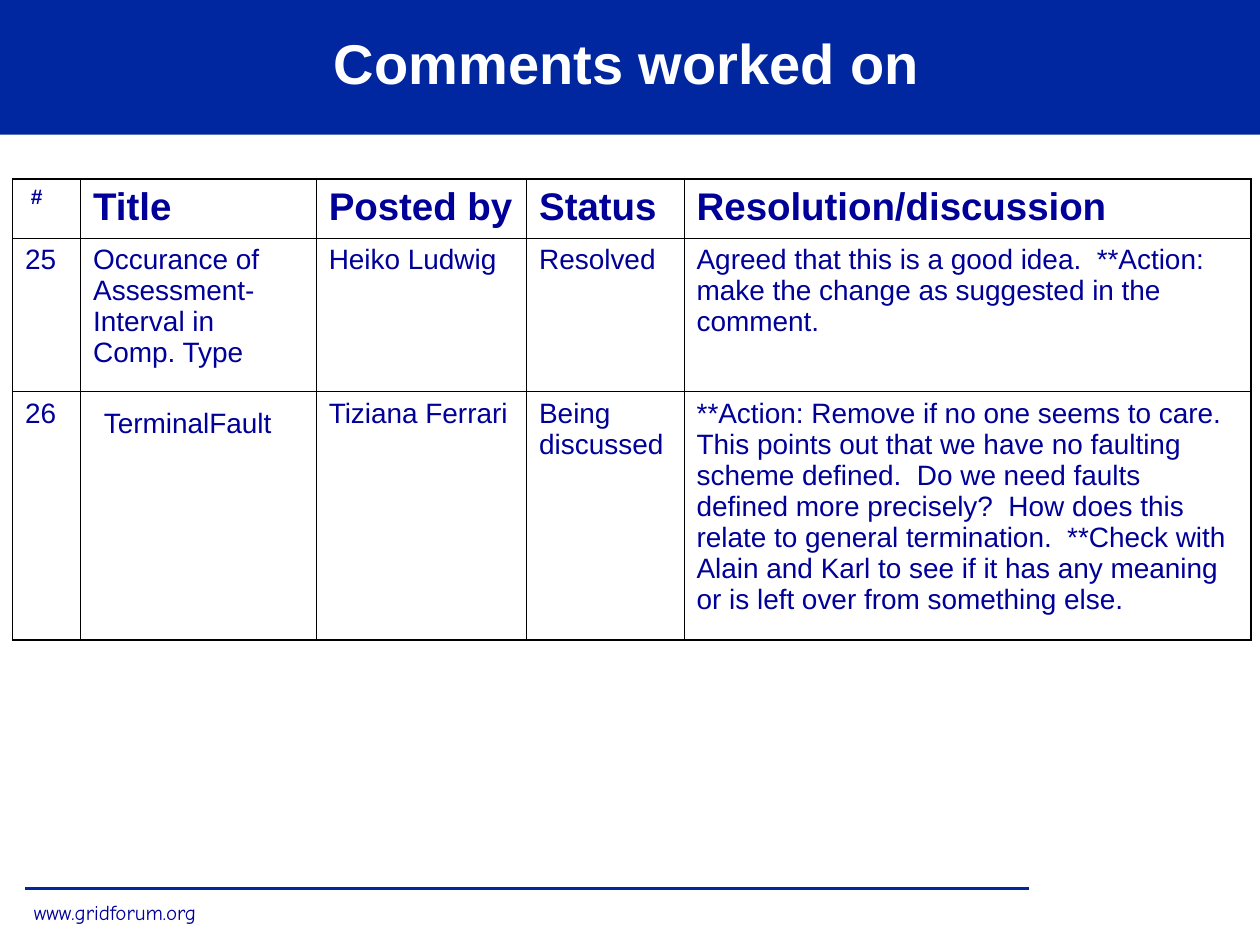
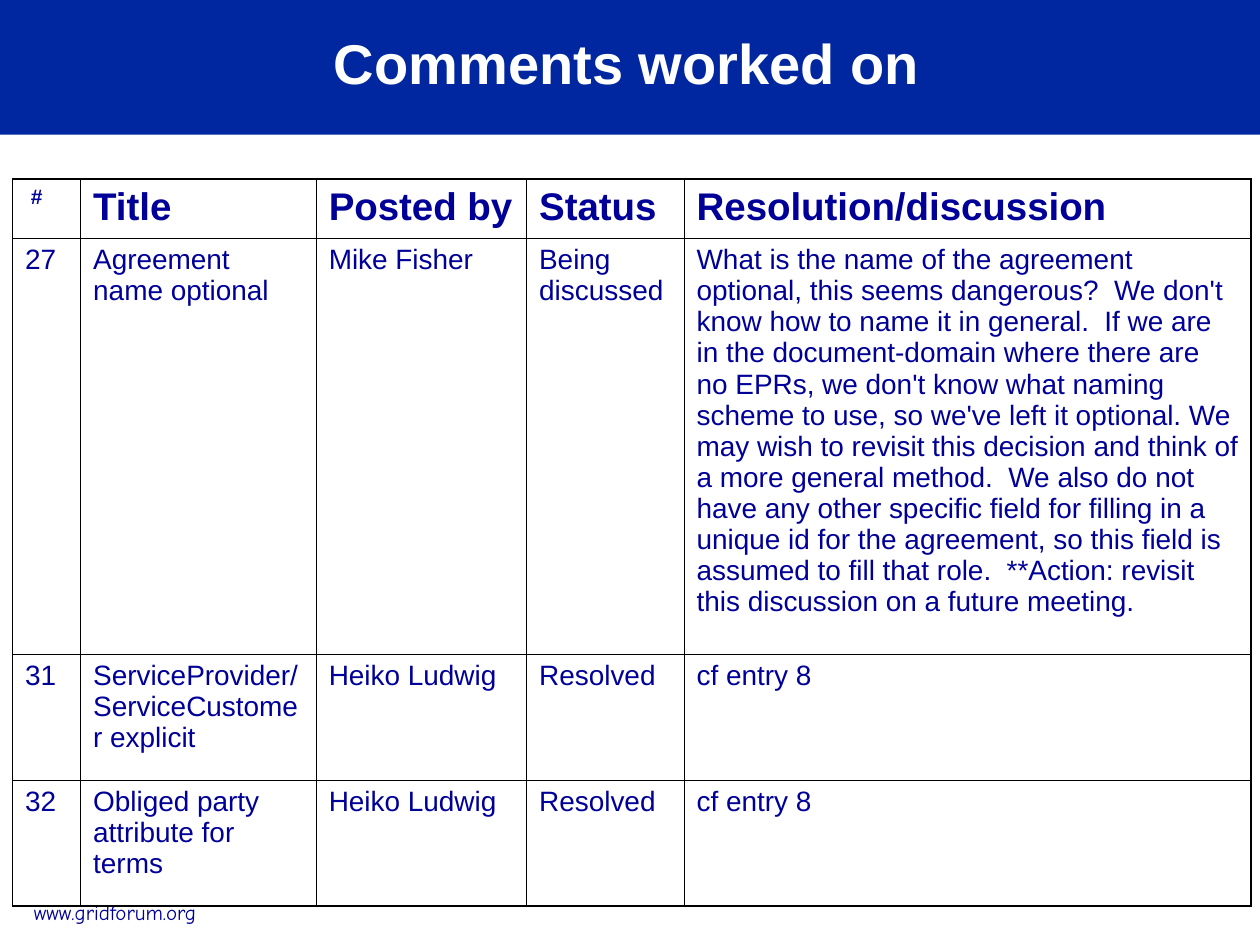
from lxml import etree
from pptx import Presentation
from pptx.dml.color import RGBColor
from pptx.enum.shapes import MSO_CONNECTOR, MSO_SHAPE
from pptx.enum.text import MSO_ANCHOR, MSO_AUTO_SIZE, PP_ALIGN
from pptx.oxml.ns import qn
from pptx.util import Inches, Pt

RECTANGLE = MSO_SHAPE.RECTANGLE
STRAIGHT = MSO_CONNECTOR.STRAIGHT
MIDDLE, TOP = MSO_ANCHOR.MIDDLE, MSO_ANCHOR.TOP
CENTER, LEFT = PP_ALIGN.CENTER, PP_ALIGN.LEFT
NO_AUTOFIT = MSO_AUTO_SIZE.NONE

COLORS = {"band": "00279F", "text": "000099", "paper": "FFFFFF", "border": "000000"}
BODY_FONT, FOOTER_FONT = "Arial", "Comic Neue"
TITLE_ONLY = 5
GRID_COLUMNS, GRID_ROWS = 100, 75

TITLE = "Comments worked on"
FOOTER = "www.gridforum.org"
HEADINGS = ["#", "Title", "Posted by", "Status", "Resolution/discussion"]
COLUMN_WIDTHS = [5.4, 18.7, 16.7, 12.5, 45]
HEADING_HEIGHT = 4.7
OUTER_BORDER, INNER_BORDER = 1.08, 0.45
MARGIN_LEFT, MARGIN_TOP = 1, 0.5
CELL_MARGINS = {"#": (1.46, 0.5), "TerminalFault": (1.85, 1.3)}

COMMENT_SLIDES = [
    [
        (12.2, ["25", "Occurance of Assessment-Interval in Comp. Type", "Heiko Ludwig", "Resolved",
                "Agreed that this is a good idea.  **Action: make the change as suggested "
                "in the comment."]),
        (19.7, ["26", "TerminalFault", "Tiziana Ferrari", "Being discussed",
                "**Action: Remove if no one seems to care. This points out that we have no "
                "faulting scheme defined.  Do we need faults defined more precisely?  How does "
                "this relate to general termination.  **Check with Alain and Karl to see if it "
                "has any meaning or is left over from something else."]),
    ],
    [
        (33, ["27", "Agreement name optional", "Mike Fisher", "Being discussed",
              "What is the name of the agreement optional, this seems dangerous?  We don't know "
              "how to name it in general.  If we are in the document-domain where there are no "
              "EPRs, we don't know what naming scheme to use, so we've left it optional. We may "
              "wish to revisit this decision and think of a more general method.  We also do not "
              "have any other specific field for filling in a unique id for the agreement, so "
              "this field is assumed to fill that role.  **Action: revisit this discussion on a "
              "future meeting."]),
        (10, ["31", "ServiceProvider/ServiceCustomer explicit", "Heiko Ludwig", "Resolved",
              "cf entry 8"]),
        (10, ["32", "Obliged party attribute for terms", "Heiko Ludwig", "Resolved",
              "cf entry 8"]),
    ],
]


class Deck:
    def __init__(self):
        self.presentation = Presentation()
        self.presentation.slide_width = Inches(10)
        self.presentation.slide_height = Inches(7.5)
        self.slide = None

    def across(self, columns):
        return round(self.presentation.slide_width * columns / GRID_COLUMNS)

    def down(self, rows):
        return round(self.presentation.slide_height * rows / GRID_ROWS)

    def area(self, left, top, width, height):
        return self.across(left), self.down(top), self.across(width), self.down(height)

    def color(self, name):
        return RGBColor.from_string(COLORS[name])

    def paint(self, fill, name):
        fill.solid()
        fill.fore_color.rgb = self.color(name)

    def set_text(self, text_frame, text, size, color="text", bold=False, font=BODY_FONT,
                 alignment=LEFT):
        text_frame.text = text
        paragraph = text_frame.paragraphs[0]
        paragraph.alignment = alignment
        paragraph.font.name = font
        paragraph.font.size = Pt(size)
        paragraph.font.bold = bold
        paragraph.font.color.rgb = self.color(color)

    def add_slide(self):
        layout = self.presentation.slide_layouts[TITLE_ONLY]
        self.slide = self.presentation.slides.add_slide(layout)
        self.add_band()
        self.add_footer()
        self.add_title()

    def add_band(self):
        band = self.slide.shapes.add_shape(RECTANGLE, *self.area(0, 0, 100, 10.7))
        band.shadow.inherit = False
        self.paint(band.fill, "band")
        band.line.fill.background()

    def add_footer(self):
        height = self.down(70.5)
        rule = self.slide.shapes.add_connector(
            STRAIGHT, self.across(2), height, self.across(81.7), height)
        rule.line.color.rgb = self.color("band")
        rule.line.width = Pt(2)
        etree.SubElement(rule.element.spPr, qn("a:effectLst"))
        address = self.slide.shapes.add_textbox(*self.area(1.7, 70.9, 14.9, 3))
        address.text_frame.word_wrap = False
        self.set_text(address.text_frame, FOOTER, 12, font=FOOTER_FONT)

    def add_title(self):
        title = self.slide.shapes.title
        title.element.getparent().append(title.element)
        title.left, title.top, title.width, title.height = self.area(0, -0.2, 99.5, 10.2)
        self.paint(title.fill, "band")
        title.text_frame.auto_size = NO_AUTOFIT
        title.text_frame.vertical_anchor = MIDDLE
        self.set_text(title.text_frame, TITLE, 32, "paper", True, alignment=CENTER)

    def add_borders(self, cell, edges):
        properties = cell._tc.get_or_add_tcPr()
        for side, is_outer in edges.items():
            width = Pt(OUTER_BORDER if is_outer else INNER_BORDER)
            line = etree.SubElement(properties, qn(f"a:ln{side}"), w=str(width))
            fill = etree.SubElement(line, qn("a:solidFill"))
            etree.SubElement(fill, qn("a:srgbClr"), val=COLORS["border"])

    def fill_cell(self, cell, text, is_heading):
        margin_left, margin_top = CELL_MARGINS.get(text, (MARGIN_LEFT, MARGIN_TOP))
        cell.margin_left, cell.margin_right = self.across(margin_left), self.across(MARGIN_LEFT)
        cell.margin_top, cell.margin_bottom = self.down(margin_top), self.down(MARGIN_TOP)
        cell.vertical_anchor = TOP
        if is_heading:
            cell.fill.background()
            self.set_text(cell.text_frame, text, 12 if text == "#" else 22, bold=True)
        else:
            self.paint(cell.fill, "paper")
            self.set_text(cell.text_frame, text, 16)

    def add_comment_table(self, comments):
        rows = [(HEADING_HEIGHT, HEADINGS), *comments]
        total_height = sum(height for height, texts in rows)
        frame = self.slide.shapes.add_table(
            len(rows), len(HEADINGS), *self.area(1, 14.2, sum(COLUMN_WIDTHS), total_height))
        table = frame.table
        table.first_row = table.horz_banding = False
        for column, width in zip(table.columns, COLUMN_WIDTHS):
            column.width = self.across(width)
        for row_index, (height, texts) in enumerate(rows):
            table.rows[row_index].height = self.down(height)
            for column_index, text in enumerate(texts):
                cell = table.cell(row_index, column_index)
                self.add_borders(cell, {
                    "L": column_index == 0,
                    "R": column_index == len(texts) - 1,
                    "T": row_index == 0,
                    "B": row_index == len(rows) - 1,
                })
                self.fill_cell(cell, text, row_index == 0)


def main():
    deck = Deck()
    for comments in COMMENT_SLIDES:
        deck.add_slide()
        deck.add_comment_table(comments)
    deck.presentation.save("out.pptx")


if __name__ == "__main__":
    main()
